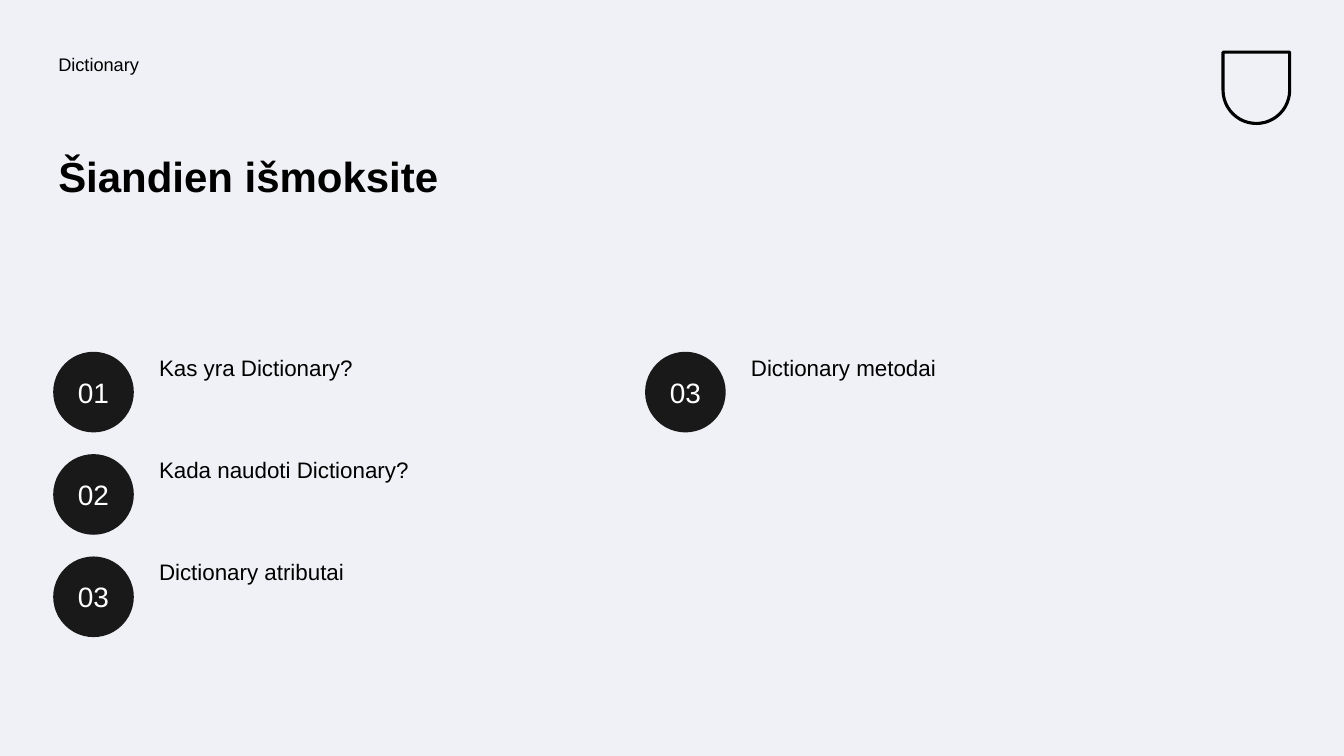
"""Build the agenda slide of a lesson on dictionaries."""
import dataclasses

import pptx
import pptx.dml.color
import pptx.enum.shapes
import pptx.enum.text
import pptx.oxml
import pptx.oxml.ns
import pptx.util

Pt = pptx.util.Pt
Align = pptx.enum.text.PP_ALIGN
Anchor = pptx.enum.text.MSO_ANCHOR
Shape = pptx.enum.shapes.MSO_SHAPE


@dataclasses.dataclass(frozen=True)
class Theme:
    font: str = "Arial"
    background: str = "F0F1F6"
    ink: str = "000000"
    disc: str = "191919"
    on_disc: str = "FEFFFF"
    header_size: int = 13
    title_size: int = 30
    topic_size: int = 16
    number_size: int = 20
    inset: float = 3.6


def color(value):
    return pptx.dml.color.RGBColor.from_string(value)


class AgendaSlide:
    def __init__(self, deck, layout, theme):
        self.theme = theme
        self.page = deck.slides.add_slide(deck.slide_layouts[layout])
        self.page.background.fill.solid()
        self.page.background.fill.fore_color.rgb = color(theme.background)

    def set_text(self, box, text, size, ink, align=Align.LEFT, anchor=Anchor.TOP,
                 spacing=0.9, before=0, bold=False):
        frame = box.text_frame
        frame.word_wrap = True
        frame.auto_size = pptx.enum.text.MSO_AUTO_SIZE.NONE
        frame.vertical_anchor = anchor
        frame.margin_left = frame.margin_right = Pt(self.theme.inset)
        frame.margin_top = frame.margin_bottom = Pt(self.theme.inset)
        frame.text = text
        para = frame.paragraphs[0]
        para.alignment = align
        para.line_spacing = spacing
        para.space_before = Pt(before)
        properties = para._p.get_or_add_pPr()
        properties.set("marL", "0")
        properties.set("indent", "0")
        properties.append(pptx.oxml.parse_xml(
            f"<a:buNone {pptx.oxml.ns.nsdecls('a')}/>"))
        para.font.name = self.theme.font
        para.font.size = Pt(size)
        para.font.bold = bold
        para.font.color.rgb = color(ink)

    def placeholder(self, index, left, top, width, height, text, size, **style):
        box = self.page.placeholders[index]
        box.left, box.top = Pt(left), Pt(top)
        box.width, box.height = Pt(width), Pt(height)
        self.set_text(box, text, size, self.theme.ink, **style)

    def text_box(self, left, top, width, height, text, size, **style):
        box = self.page.shapes.add_textbox(Pt(left), Pt(top), Pt(width), Pt(height))
        self.set_text(box, text, size, self.theme.ink, **style)

    def disc(self, left, top, diameter, number):
        disc = self.page.shapes.add_shape(
            Shape.OVAL, Pt(left), Pt(top), Pt(diameter), Pt(diameter))
        disc.shadow.inherit = False
        disc.fill.solid()
        disc.fill.fore_color.rgb = color(self.theme.disc)
        disc.line.fill.background()
        self.set_text(disc, number, self.theme.number_size, self.theme.on_disc,
                      align=Align.CENTER, anchor=Anchor.MIDDLE, spacing=1)

    def shield(self, left, top, width, height, weight):
        shield = self.page.shapes.add_shape(
            Shape.ROUND_2_SAME_RECTANGLE, Pt(left), Pt(top), Pt(width), Pt(height))
        shield.adjustments[0] = 0
        shield.adjustments[1] = 0.5
        shield.shadow.inherit = False
        shield.fill.background()
        shield.line.color.rgb = color(self.theme.ink)
        shield.line.width = Pt(weight)


def main():
    theme = Theme()
    deck = pptx.Presentation()
    deck.slide_width, deck.slide_height = Pt(960), Pt(540)
    slide = AgendaSlide(deck, 3, theme)

    margin, first_top = 38, 251.3
    column_step, row_step, rows = 422.8, 73.1, 3
    disc_size, topic_offset = 57.6, 72

    slide.shield(873.6, 37.2, 47.6, 51, 2.2)
    slide.placeholder(1, margin, 36, 442, 36, "Dictionary", theme.header_size, before=10)
    slide.placeholder(0, margin, 108, 406, 107.3, "Šiandien išmoksite",
                      theme.title_size, bold=True)

    topics = [
        ("01", "Kas yra Dictionary?"),
        ("02", "Kada naudoti Dictionary?"),
        ("03", "Dictionary atributai"),
        ("03", "Dictionary metodai"),
    ]
    for index, (number, topic) in enumerate(topics):
        column, row = divmod(index, rows)
        left = margin + column * column_step
        top = first_top + row * row_step
        area = (left + topic_offset, top, 333.4, 71.3)
        if index == 0:
            slide.placeholder(2, *area, topic, theme.topic_size, before=10)
        else:
            slide.text_box(*area, topic, theme.topic_size, before=10)
        slide.disc(left, top, disc_size, number)

    deck.save("out.pptx")


if __name__ == "__main__":
    main()
